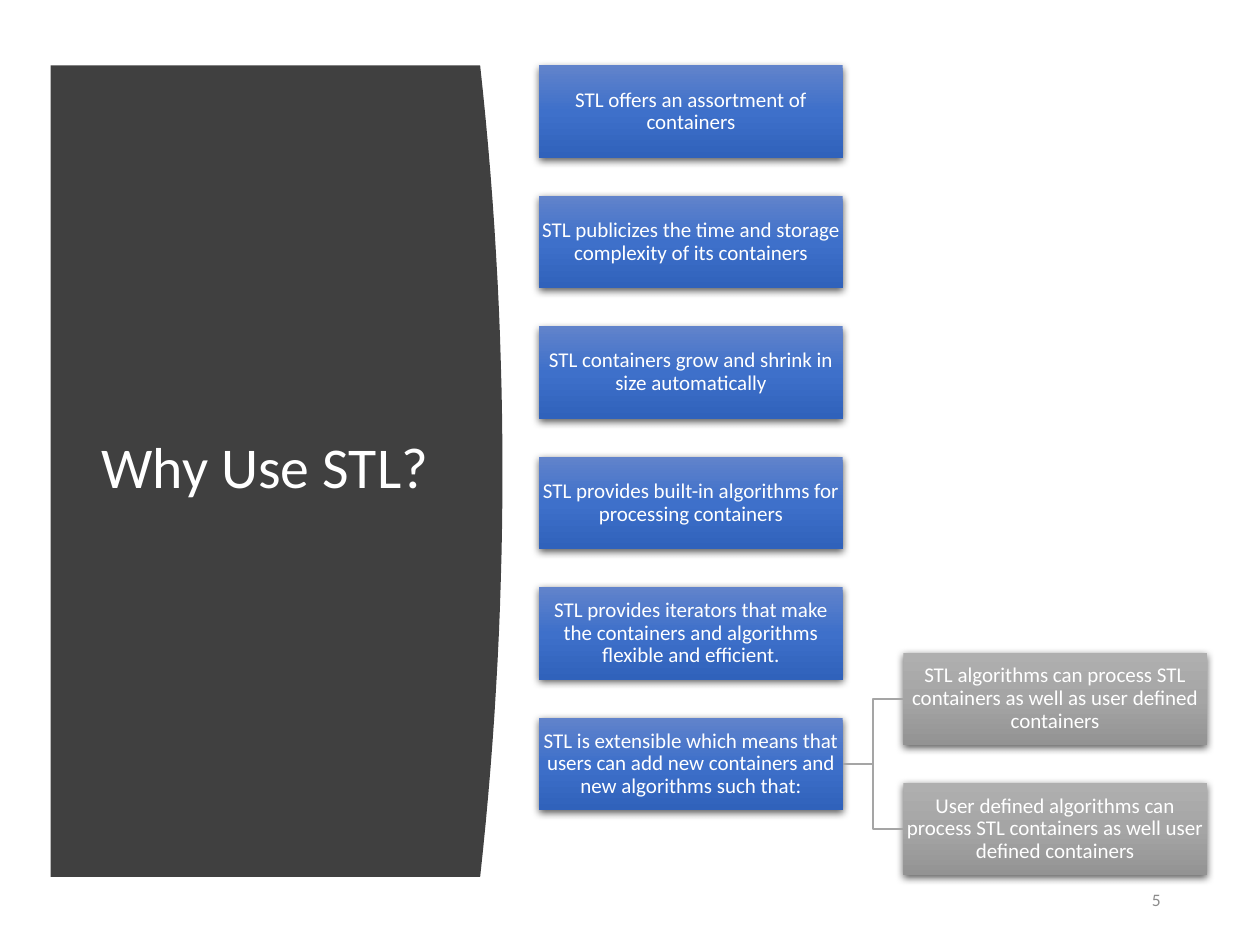
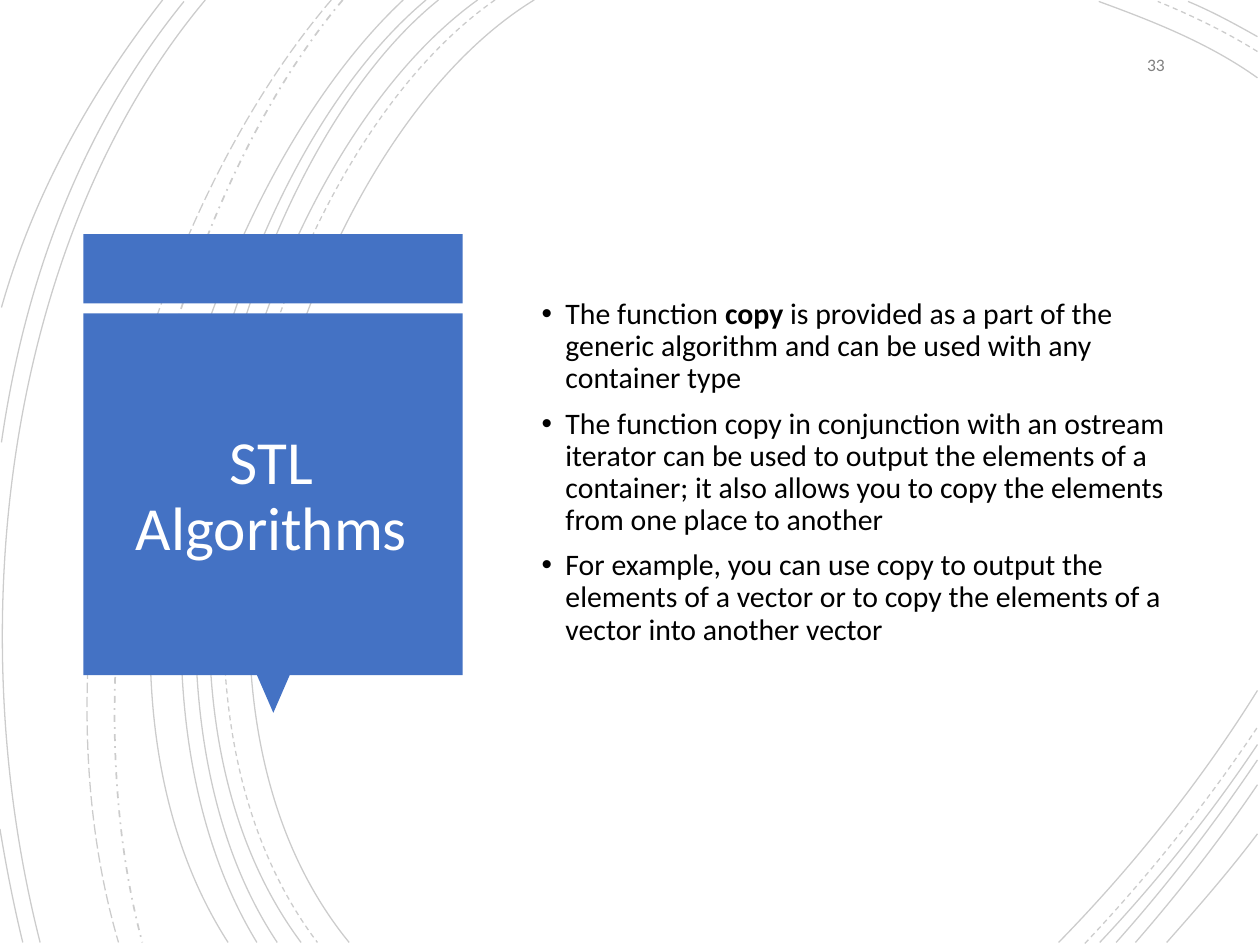
from lxml import etree
from pptx import Presentation
from pptx.dml.color import RGBColor
from pptx.enum.dml import MSO_LINE
from pptx.enum.shapes import MSO_CONNECTOR, MSO_SHAPE
from pptx.enum.text import MSO_ANCHOR, PP_ALIGN
from pptx.oxml.ns import qn
from pptx.util import Cm, Pt

WHITE = RGBColor(0xFF, 0xFF, 0xFF)
BLACK = RGBColor(0x00, 0x00, 0x00)
CHARCOAL = RGBColor(0x40, 0x40, 0x40)
BLUE = RGBColor(0x44, 0x72, 0xC4)
CONNECTOR_GRAY = RGBColor(0xA5, 0xA5, 0xA5)
NUMBER_GRAY = RGBColor(0x8C, 0x8C, 0x8C)
NUMBER_DARK_GRAY = RGBColor(0x80, 0x80, 0x80)
BLUE_GRADIENT = (RGBColor(0x61, 0x83, 0xCB), RGBColor(0x3E, 0x70, 0xCA), RGBColor(0x30, 0x62, 0xBB))
GRAY_GRADIENT = (RGBColor(0xAF, 0xAF, 0xAF), RGBColor(0xA5, 0xA5, 0xA5), RGBColor(0x93, 0x93, 0x93))

RECTANGLE = MSO_SHAPE.RECTANGLE
TRIANGLE = MSO_SHAPE.ISOSCELES_TRIANGLE
ELBOW = MSO_CONNECTOR.ELBOW
SOLID = MSO_LINE.SOLID
DASH = MSO_LINE.DASH
LONG_DASH = MSO_LINE.LONG_DASH
DASH_DOT = MSO_LINE.DASH_DOT
MIDDLE = MSO_ANCHOR.MIDDLE
LEFT, CENTER, RIGHT = PP_ALIGN.LEFT, PP_ALIGN.CENTER, PP_ALIGN.RIGHT
RIGHT_SIDE, LEFT_SIDE = 3, 1

FONT = "Calibri"
LINE_SPACING = 0.9

PANEL_LEFT, PANEL_TOP, PANEL_BOTTOM = 1.02, 1.32, 17.68
PANEL_CORNER, PANEL_BULGE, PANEL_STEPS = 9.68, 0.45, 30

BOX_LEFT, BOX_TOP, BOX_WIDTH, BOX_HEIGHT = 10.87, 1.32, 6.12, 1.86
BOX_PITCH, LEVEL_PITCH = 2.63, 7.34

REASONS = [
    "STL offers an assortment of containers",
    "STL publicizes the time and storage complexity of its containers",
    "STL containers grow and shrink in size automatically",
    "STL provides built-in algorithms for processing containers",
    "STL provides iterators that make the containers and algorithms flexible and efficient.",
    "STL is extensible which means that users can add new containers and new algorithms such that:",
]
EXTENSIONS = [
    "STL algorithms can process STL containers as well as user defined containers",
    "User defined algorithms can process STL containers as well user defined containers",
]
COPY_POINTS = [
    [("The function ", False), ("copy", True),
     (" is provided as a part of the generic algorithm and can be used with any container type", False)],
    [("The function copy in conjunction with an ostream iterator can be used to output the elements "
      "of a container; it also allows you to copy the elements from one place to another", False)],
    [("For example, you can use copy to output the elements of a vector or to copy the elements "
      "of a vector into another vector", False)],
]

ARCS = {
    (SOLID, 0.75): [
        [(10.77, 0), (5.99, 2.92), (2.72, 13.72), (7.04, 19)],
        [(25.35, 1.57), (24.36, 0.86), (23.19, 0.41), (22.15, 0.03)],
        [(21.34, 19), (22.78, 17.53), (24.18, 15.8), (25.35, 13.92)],
        [(9.63, 0), (5.13, 3.23), (2.08, 13.64), (6.07, 19)],
        [(25.35, 0.74), (24.89, 0.48), (24.43, 0.23), (23.95, 0.03)],
        [(22.17, 19), (23.29, 17.81), (24.38, 16.46), (25.35, 15.01)],
        [(8.84, 0), (4.65, 3.38), (2.08, 13.74), (5.59, 19)],
        [(22.5, 19), (23.5, 17.88), (24.46, 16.64), (25.35, 15.32)],
        [(8.59, 0), (4.39, 3.51), (1.85, 13.54), (5.18, 19)],
        [(22.89, 19), (23.75, 18.01), (24.59, 16.94), (25.35, 15.82)],
        [(8.13, 0), (4.14, 3.73), (1.02, 13.44), (4.6, 19)],
        [(23.52, 19), (24.13, 18.31), (24.77, 17.58), (25.35, 16.81)],
        [(4.14, 0), (0.2, 4.7), (-0.86, 12.45), (0.81, 19)],
        [(3.71, 0.03), (1.75, 2.44), (0.53, 5.44), (0.03, 8.92)],
        [(0, 16.71), (0.13, 17.5), (0.28, 18.26), (0.46, 19)],
        [(3.28, 0), (1.91, 1.75), (0.71, 3.81), (0.03, 6.2)],
    ],
    (DASH, 0.75): [
        [(9.98, 0), (5.41, 3.18), (2.34, 13.64), (6.4, 19)],
        [(25.35, 1.04), (24.71, 0.64), (24, 0.3), (23.34, 0.03)],
        [(21.87, 19.02), (23.09, 17.73), (24.28, 16.26), (25.35, 14.66)],
    ],
    (DASH_DOT, 1): [[(6.91, 0), (3.35, 4.22), (1.24, 12.93), (2.87, 19)]],
    (LONG_DASH, 0.75): [[(6.68, 0), (3, 4.29), (0.53, 12.67), (2.39, 19)]],
}


def add_element(parent, tag, **attributes):
    return etree.SubElement(parent, qn(tag), attributes)


class Deck:
    def __init__(self):
        self.presentation = Presentation()
        self.presentation.slide_width = Cm(25.4)
        self.presentation.slide_height = Cm(19.05)
        self.slide = None

    def new_slide(self):
        self.slide = self.presentation.slides.add_slide(self.presentation.slide_layouts[6])

    def style_paragraph(self, paragraph, size, color, alignment):
        paragraph.alignment = alignment
        paragraph.line_spacing = LINE_SPACING
        paragraph.font.name = FONT
        paragraph.font.size = Pt(size)
        paragraph.font.color.rgb = color

    def text_frame(self, left, top, width, height):
        box = self.slide.shapes.add_textbox(Cm(left), Cm(top), Cm(width), Cm(height))
        box.text_frame.word_wrap = True
        box.text_frame.vertical_anchor = MIDDLE
        return box.text_frame

    def text(self, text, left, top, width, height, size, color, alignment):
        paragraph = self.text_frame(left, top, width, height).paragraphs[0]
        paragraph.text = text
        self.style_paragraph(paragraph, size, color, alignment)

    def title(self, text, left, top, width, height, size, alignment):
        self.text(text, left, top, width, height, size, WHITE, alignment)

    def slide_number(self, number, left, top, width, height, color):
        self.text(number, left, top, width, height, 10, color, RIGHT)

    def bullets(self, items, left, top, width, height, size):
        frame = self.text_frame(left, top, width, height)
        for index, runs in enumerate(items):
            paragraph = frame.add_paragraph() if index else frame.paragraphs[0]
            properties = paragraph._p.get_or_add_pPr()
            properties.set("marL", str(Cm(0.48)))
            properties.set("indent", str(-Cm(0.48)))
            add_element(properties, "a:buFont", typeface="Arial")
            add_element(properties, "a:buChar", char="•")
            paragraph.space_before = Pt(7.5)
            self.style_paragraph(paragraph, size, BLACK, LEFT)
            for text, bold in runs:
                run = paragraph.add_run()
                run.text = text
                if bold:
                    run.font.bold = True

    def shape(self, kind, left, top, width, height, color, rotation=0):
        shape = self.slide.shapes.add_shape(kind, Cm(left), Cm(top), Cm(width), Cm(height))
        shape.shadow.inherit = False
        shape.fill.solid()
        shape.fill.fore_color.rgb = color
        shape.line.fill.background()
        shape.rotation = rotation
        return shape

    def gradient_box(self, text, left, top, colors):
        box = self.shape(RECTANGLE, left, top, BOX_WIDTH, BOX_HEIGHT, colors[1])
        box.fill.gradient()
        box.fill.gradient_angle = 270
        properties = box._element.spPr
        stops = properties.find(".//" + qn("a:gsLst"))
        for stop in list(stops):
            stops.remove(stop)
        for position, color in zip((0, 50000, 100000), colors):
            stop = add_element(stops, "a:gs", pos=str(position))
            add_element(stop, "a:srgbClr", val=str(color))
        shadow = add_element(properties.find(qn("a:effectLst")), "a:outerShdw",
                             blurRad=str(Pt(4.5)), dist=str(Pt(1.5)), dir="5400000",
                             algn="ctr", rotWithShape="0")
        shadow_color = add_element(shadow, "a:srgbClr", val=str(BLACK))
        add_element(shadow_color, "a:alpha", val="63000")
        frame = box.text_frame
        frame.word_wrap = True
        frame.vertical_anchor = MIDDLE
        frame.margin_left = frame.margin_right = frame.margin_top = frame.margin_bottom = Cm(0.02)
        frame.text = text
        self.style_paragraph(frame.paragraphs[0], 12, WHITE, CENTER)
        return box

    def branch(self, parent, child):
        connector = self.slide.shapes.add_connector(ELBOW, 0, 0, 0, 0)
        connector.begin_connect(parent, RIGHT_SIDE)
        connector.end_connect(child, LEFT_SIDE)
        connector.line.color.rgb = CONNECTOR_GRAY
        connector.line.width = Pt(1)
        add_element(connector._element.spPr, "a:effectLst")

    def outline(self, points, close):
        (start_x, start_y), *others = [(Cm(x), Cm(y)) for x, y in points]
        builder = self.slide.shapes.build_freeform(start_x, start_y)
        builder.add_line_segments(others, close=close)
        shape = builder.convert_to_shape()
        shape.shadow.inherit = False
        return shape

    def panel(self, points, color):
        shape = self.outline(points, True)
        shape.fill.solid()
        shape.fill.fore_color.rgb = color
        shape.line.fill.background()

    def arc(self, points, dash, width):
        shape = self.outline(points, False)
        shape.fill.background()
        shape.line.color.rgb = BLACK
        shape.line.width = Pt(width)
        shape.line.dash_style = dash
        properties = shape._element.spPr
        add_element(properties.find(qn("a:ln")).find(".//" + qn("a:srgbClr")), "a:alpha", val="20000")
        segments = properties.findall(".//" + qn("a:lnTo"))
        curve = add_element(segments[0].getparent(), "a:cubicBezTo")
        for segment in segments:
            curve.append(segment[0])
            segment.getparent().remove(segment)


def build_reasons_slide(deck):
    deck.new_slide()
    curved_edge = []
    for step in range(PANEL_STEPS + 1):
        offset = 2 * step / PANEL_STEPS - 1
        y = PANEL_TOP + (PANEL_BOTTOM - PANEL_TOP) * step / PANEL_STEPS
        curved_edge.append((PANEL_CORNER + PANEL_BULGE * (1 - offset ** 2), y))
    deck.panel([(PANEL_LEFT, PANEL_TOP), *curved_edge, (PANEL_LEFT, PANEL_BOTTOM)], CHARCOAL)
    deck.title("Why Use STL?", 1.8, 2.82, 7.11, 13.31, 33, LEFT)
    deck.slide_number("5", 22.35, 17.65, 1.3, 1.02, NUMBER_GRAY)
    for row, reason in enumerate(REASONS):
        extensible_box = deck.gradient_box(reason, BOX_LEFT, BOX_TOP + row * BOX_PITCH, BLUE_GRADIENT)
    for row, extension in enumerate(EXTENSIONS):
        top = BOX_TOP + (len(REASONS) - 1.5 + row) * BOX_PITCH
        extension_box = deck.gradient_box(extension, BOX_LEFT + LEVEL_PITCH, top, GRAY_GRADIENT)
        deck.branch(extensible_box, extension_box)


def build_algorithms_slide(deck):
    deck.new_slide()
    for (dash, width), arcs in ARCS.items():
        for points in arcs:
            deck.arc(points, dash, width)
    deck.shape(RECTANGLE, 1.68, 4.72, 7.65, 1.4, BLUE)
    deck.shape(TRIANGLE, 5.18, 13.61, 0.66, 0.76, BLUE, rotation=180)
    deck.shape(RECTANGLE, 1.68, 6.32, 7.65, 7.29, BLUE)
    deck.title("STL Algorithms", 1.88, 6.71, 7.19, 6.65, 35, CENTER)
    deck.slide_number("33", 21.82, 0.89, 1.91, 0.89, NUMBER_DARK_GRAY)
    deck.bullets(COPY_POINTS, 10.67, 2.24, 13.08, 14.58, 17)


def main():
    deck = Deck()
    build_reasons_slide(deck)
    build_algorithms_slide(deck)
    deck.presentation.save("out.pptx")


if __name__ == "__main__":
    main()
